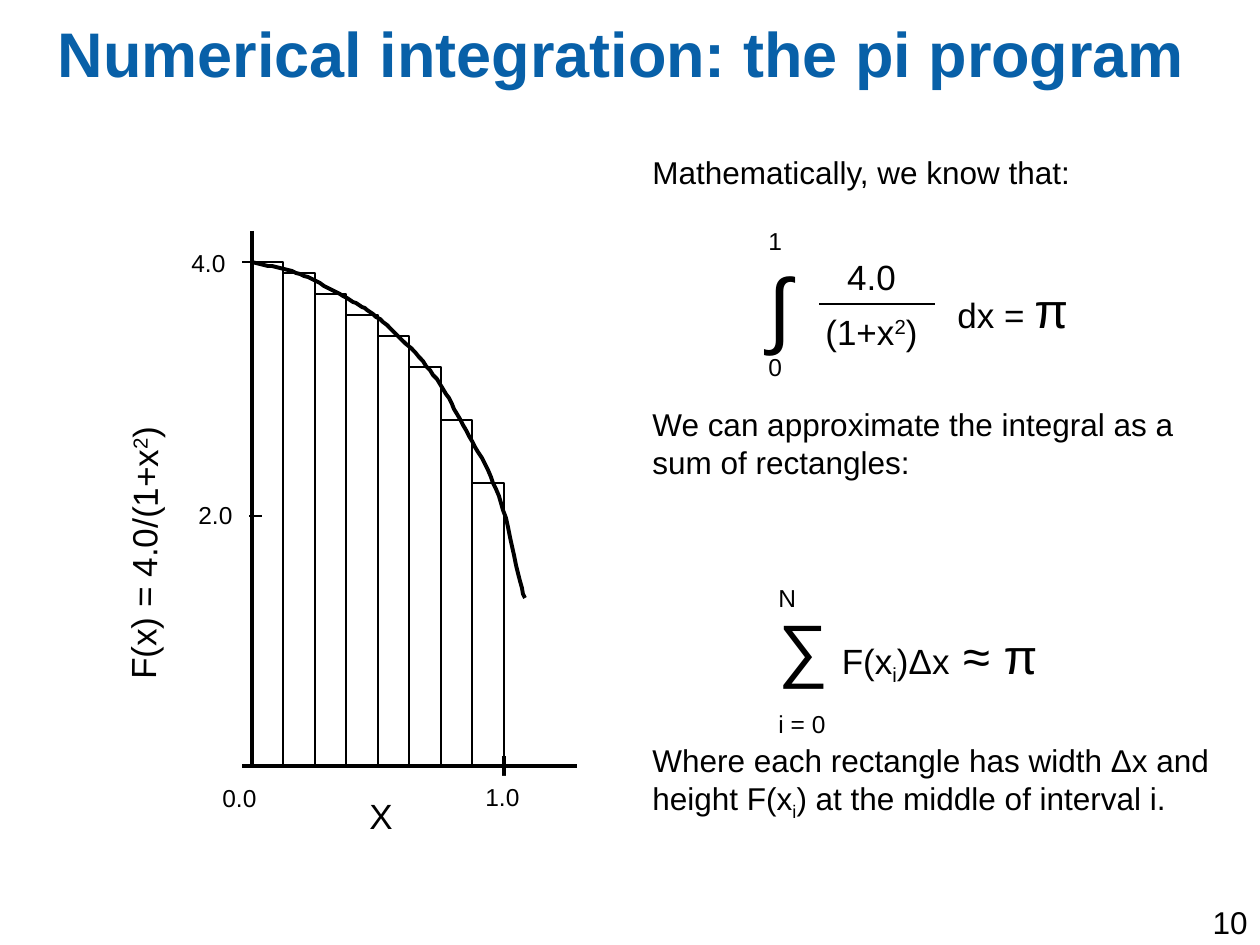
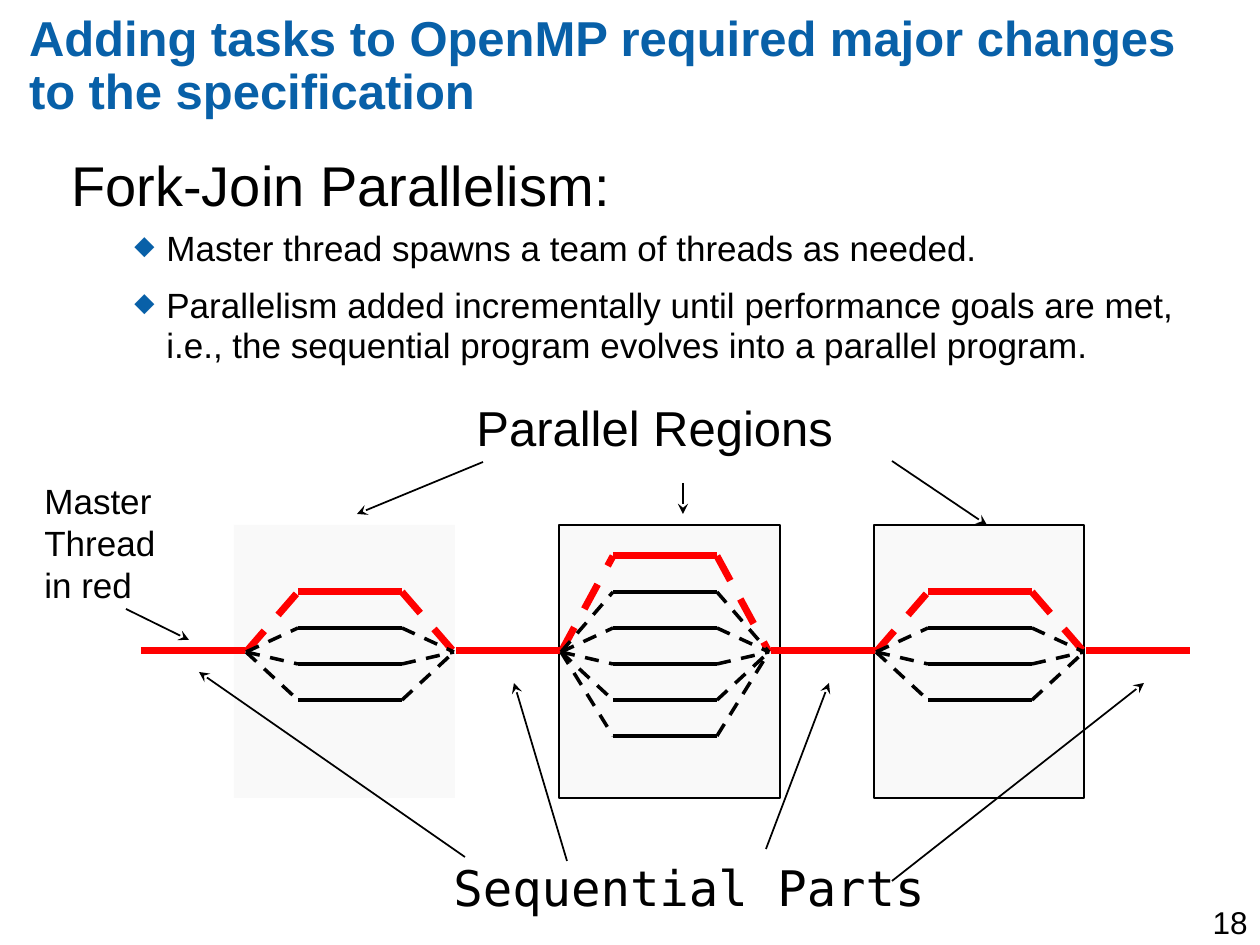
import lxml.etree
import pptx
import pptx.dml.color
import pptx.enum.dml
import pptx.enum.shapes
import pptx.enum.text
import pptx.oxml.ns
import pptx.util

PX = 914400 / 126
BLACK, WHITE, RED = "000000", "FFFFFF", "FF0000"
BLUE, PALE = "0860A8", "F9F9F9"
FONT, MONO = "Arial", "DejaVu Sans Mono"
ALIGN = pptx.enum.text.PP_ALIGN
RECTANGLE = pptx.enum.shapes.MSO_SHAPE.RECTANGLE
SUPERSCRIPT, SUBSCRIPT = 30000, -25000


def px(length):
    """Turn pixels into EMU."""
    return pptx.util.Emu(round(length * PX))


def color(value):
    """Turn a hex string into a colour."""
    return pptx.dml.color.RGBColor.from_string(value)


def style_font(font, size, name=FONT, ink=BLACK, bold=False):
    """Format one font."""
    font.size = pptx.util.Pt(size)
    font.name = name
    font.bold = bold
    font.color.rgb = color(ink)


def add_child(parent, tag, **attributes):
    """Append a DrawingML element."""
    child = lxml.etree.SubElement(parent, pptx.oxml.ns.qn(tag))
    for key, value in attributes.items():
        child.set(key, str(value))
    return child


def add_text(slide, box, parts, size, align=ALIGN.LEFT, name=FONT, fill=None):
    """Add a text box whose parts are strings or (text, size, baseline) tuples."""
    shape = slide.shapes.add_textbox(*map(px, box))
    if fill:
        shape.fill.solid()
        shape.fill.fore_color.rgb = color(fill)
    shape.text_frame.word_wrap = True
    paragraph = shape.text_frame.paragraphs[0]
    paragraph.alignment = align
    for part in [parts] if isinstance(parts, str) else parts:
        text, part_size, baseline = (part, size, 0) if isinstance(part, str) else part
        run = paragraph.add_run()
        run.text = text
        style_font(run.font, part_size, name)
        if baseline:
            run.font._element.set("baseline", str(baseline))
    return shape


def add_line(slide, start, end, width, ink=BLACK, dashed=False, arrow=False):
    """Add a straight line, dashed or with an arrowhead if asked."""
    connector = slide.shapes.add_connector(
        pptx.enum.shapes.MSO_CONNECTOR.STRAIGHT, *map(px, (*start, *end)))
    connector.line.color.rgb = color(ink)
    connector.line.width = pptx.util.Pt(width)
    if dashed:
        connector.line.dash_style = pptx.enum.dml.MSO_LINE.DASH
    if arrow:
        add_child(connector.line._get_or_add_ln(), "a:tailEnd", type="stealth")
    add_child(connector._element.spPr, "a:effectLst")


def add_rectangle(slide, box, fill, line_width):
    """Add a filled rectangle, outlined when the line width is not zero."""
    shape = slide.shapes.add_shape(RECTANGLE, *map(px, box))
    shape.shadow.inherit = False
    shape.fill.solid()
    shape.fill.fore_color.rgb = color(fill)
    if line_width:
        shape.line.color.rgb = color(BLACK)
        shape.line.width = pptx.util.Pt(line_width)
    else:
        shape.line.fill.background()


def add_titled_slide(presentation, title_text, box, size, number, spacing=1.0):
    """Add a slide with its title and page number."""
    slide = presentation.slides.add_slide(presentation.slide_layouts[5])
    title = slide.shapes.title
    title.left, title.top, title.width, title.height = map(px, box)
    frame = title.text_frame
    frame.text = title_text
    frame.word_wrap = True
    frame.auto_size = pptx.enum.text.MSO_AUTO_SIZE.NONE
    frame.vertical_anchor = pptx.enum.text.MSO_ANCHOR.TOP
    frame.margin_left = frame.margin_right = frame.margin_top = frame.margin_bottom = 0
    paragraph = frame.paragraphs[0]
    paragraph.alignment = ALIGN.LEFT
    paragraph.line_spacing = spacing
    style_font(paragraph.runs[0].font, size, ink=BLUE, bold=True)
    add_text(slide, (998, 897, 262, 48), number, 18, ALIGN.RIGHT)
    return slide


def bezier_points(start, segments, steps=12):
    """Sample points along a chain of cubic curves."""
    points = []
    for first, second, end in segments:
        for step in range(1, steps + 1):
            t = step / steps
            weights = ((1 - t) ** 3, 3 * t * (1 - t) ** 2, 3 * t * t * (1 - t), t ** 3)
            corners = (start, first, second, end)
            points.append(tuple(
                sum(weight * corner[axis] for weight, corner in zip(weights, corners))
                for axis in (0, 1)))
        start = end
    return points


def draw_curve(slide, left, top):
    """Draw the falling curve from the top of the vertical axis."""
    segments = [
        ((16, 4), (32, 6), (48, 12)), ((63, 18), (81, 29), (95, 36)),
        ((108, 44), (117, 48), (131, 60)), ((145, 72), (164, 90), (178, 108)),
        ((192, 126), (202, 146), (214, 168)), ((226, 190), (240, 213), (249, 241)),
        ((259, 268), (267, 322), (273, 336))]
    builder = slide.shapes.build_freeform(0, 0, scale=PX)
    builder.add_line_segments(bezier_points((0, 0), segments), close=False)
    curve = builder.convert_to_shape(px(left), px(top))
    curve.shadow.inherit = False
    curve.fill.background()
    curve.line.color.rgb = color(BLACK)
    curve.line.width = pptx.util.Pt(2.25)


def draw_plot(slide, left, top):
    """Draw the rectangles under the curve, with axes and labels."""
    base = top + 504
    edges = [left + index * 63 // 2 for index in range(9)]
    for index, drop in enumerate((0, 11, 32, 53, 74, 105, 158, 221)):
        box = (edges[index], top + drop, edges[index + 1] - edges[index], 504 - drop)
        add_rectangle(slide, box, WHITE, 1)
    add_line(slide, (left, top - 31), (left, base), 2.25)
    for tick in (top, top + 254):
        add_line(slide, (left - 10, tick), (left + 10, tick), 1)
    add_line(slide, (left + 325, base), (left - 10, base), 2.25)
    add_line(slide, (left + 252, base - 10), (left + 252, base + 10), 2.25)
    draw_curve(slide, left, top)
    axis_label = add_text(slide, (left - 252, top + 260, 286, 54),
                          ["F(x) = 4.0/(1+x", ("2", 20, SUPERSCRIPT), ")"], 20, fill=WHITE)
    axis_label.rotation = 270.5
    labels = [("4.0", -73, -20, 14), ("2.0", -66, 232, 14), ("1.0", 221, 514, 14),
              ("X", 105, 526, 20), ("0.0", -42, 515, 14)]
    for text, x, y, size in labels:
        add_text(slide, (left + x, top + y, 63, size * 2 + 14), text, size, fill=WHITE)


def draw_integral(slide, left, top):
    """Write the integral that equals pi."""
    add_text(slide, (left, top + 28, 53, 113), "∫", 48)
    add_text(slide, (left + 37, top + 29, 157, 54), "4.0", 20, ALIGN.CENTER)
    add_text(slide, (left + 26, top + 84, 179, 54),
             ["(1+x", ("2", 20, SUPERSCRIPT), ")"], 20, ALIGN.CENTER)
    add_line(slide, (left + 63, top + 84), (left + 179, top + 84), 1.5)
    add_text(slide, (left + 189, top + 53, 220, 72), ["dx = ", ("π", 28, 0)], 20)
    add_text(slide, (left, top + 126, 42, 42), "0", 14)
    add_text(slide, (left, top, 42, 42), "1", 14)


def draw_sum(slide, left, top):
    """Write the sum that approximates pi."""
    add_text(slide, (left, top + 21, 451, 97),
             [("∑", 40, 0), (" ", 28, 0), "F(x", ("i", 20, SUBSCRIPT), ")Δx",
              (" ≈ π", 28, 0)], 20)
    add_text(slide, (left, top + 126, 84, 42), "i = 0", 14)
    add_text(slide, (left, top, 84, 42), "N", 14)


def draw_explanation(slide, left, top):
    """Write the reasoning and its two formulas."""
    add_text(slide, (left, top, 588, 63), "Mathematically, we know that:", 18)
    draw_integral(slide, left + 116, top + 73)
    add_text(slide, (left, top + 252, 588, 164),
             "We can approximate the integral as a sum of rectangles:", 18)
    draw_sum(slide, left + 126, top + 430)
    add_text(slide, (left, top + 588, 588, 164),
             ["Where each rectangle has width Δx and height F(x", ("i", 18, SUBSCRIPT),
              ") at the middle of interval i."], 18)


def draw_fork_join_points(slide, box):
    """Write the heading and its bullets."""
    frame = slide.shapes.add_textbox(*map(px, box)).text_frame
    frame.word_wrap = True
    lines = [
        ("Fork-Join Parallelism:", 32, 0),
        ("Master thread spawns a team of threads as needed.", 20, 6),
        ("Parallelism added incrementally until performance goals are met, "
         "i.e., the sequential program evolves into a parallel program.", 20, 10)]
    frame.text = "\n".join(text for text, size, before in lines)
    for paragraph, (text, size, before) in zip(frame.paragraphs, lines):
        paragraph.line_spacing = 0.94
        paragraph.space_before = pptx.util.Pt(before)
        properties = paragraph._p.get_or_add_pPr()
        margin, indent = (95, -32) if before else (39, -39)
        properties.set("marL", str(px(margin)))
        properties.set("indent", str(px(indent)))
        if before:
            paragraph.level = 1
            bullet_color = add_child(properties, "a:buClr")
            add_child(bullet_color, "a:srgbClr", val=BLUE)
            add_child(properties, "a:buSzPct", val=75000)
            add_child(properties, "a:buChar", char="◆")
        else:
            add_child(properties, "a:buNone")
        style_font(paragraph.runs[0].font, size)


def draw_team(slide, left, middle, rows):
    """Draw threads that fork at the left and join 208 px further right."""
    for row in rows:
        y = middle - 96 + 36 * row
        ink, width = (RED, 4) if row == rows[0] else (BLACK, 2)
        add_line(slide, (left + 52, y), (left + 156, y), width, ink)
        add_line(slide, (left, middle), (left + 52, y), width, ink, dashed=True)
        add_line(slide, (left + 156, y), (left + 208, middle), width, ink, dashed=True)


def draw_threads(slide, left, top):
    """Draw the regions, the thread teams and the master thread."""
    pitch, middle = 315, top + 127
    for x, width, outline in ((733, 210, 0.75), (418, 221, 0.75), (93, 221, 0)):
        add_rectangle(slide, (left + x, top, width, 273), PALE, outline)
    for index in range(4):
        x = left + pitch * index
        add_line(slide, (x, middle - 1), (x + 104, middle - 1), 4, RED)
    for index, rows in enumerate((range(1, 5), range(6), range(1, 5))):
        draw_team(slide, left + 105 + pitch * index, middle, rows)


def draw_callouts(slide):
    """Name the parts of the diagram and point at them."""
    add_text(slide, (464, 391, 536, 72), "Parallel Regions", 28)
    add_text(slide, (32, 473, 166, 139), "Master Thread in red", 20)
    add_text(slide, (441, 851, 525, 72), "Sequential Parts", 28, name=MONO)
    arrows = [
        ((892, 461), (987, 525)), ((483, 462), (357, 514)), ((683, 483), (683, 514)),
        ((126, 609), (189, 640)), ((892, 881), (1144, 683)), ((766, 849), (829, 683)),
        ((465, 857), (199, 672)), ((567, 861), (514, 683))]
    for start, end in arrows:
        add_line(slide, start, end, 1, arrow=True)


def main():
    """Build and save the presentation."""
    presentation = pptx.Presentation()
    presentation.slide_width, presentation.slide_height = px(1260), px(945)

    slide = add_titled_slide(presentation, "Numerical integration: the pi program",
                             (58, 15, 1171, 158), 36, "10")
    draw_explanation(slide, 640, 147)
    draw_plot(slide, 252, 262)

    slide = add_titled_slide(
        presentation, "Adding tasks to OpenMP required major changes to the specification",
        (29, 15, 1189, 136), 28, "18", 0.89)
    draw_fork_join_points(slide, (59, 150, 1176, 336))
    draw_threads(slide, 141, 525)
    draw_callouts(slide)

    presentation.save("out.pptx")


if __name__ == "__main__":
    main()
